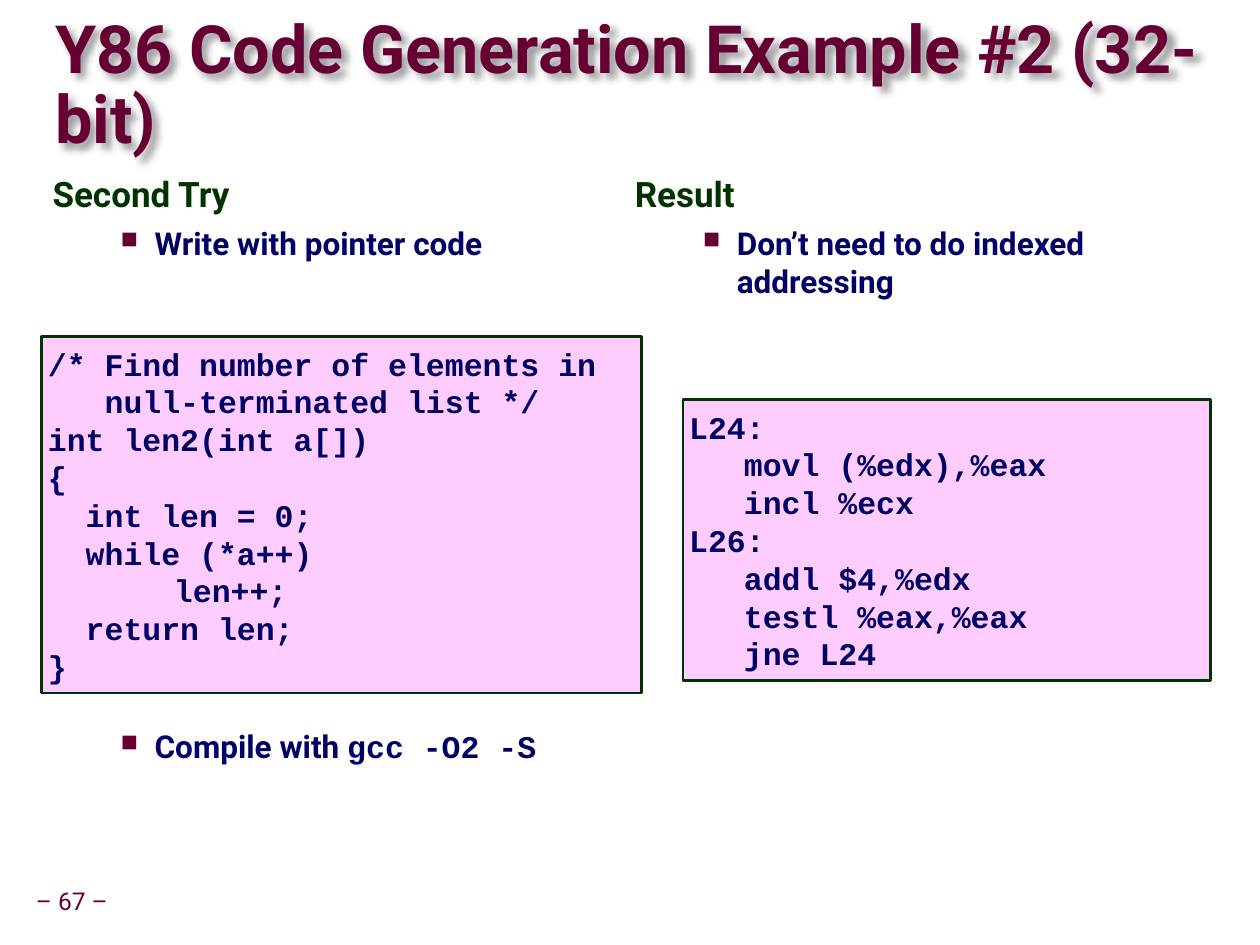
from lxml.etree import SubElement
from pptx import Presentation
from pptx.dml.color import RGBColor
from pptx.enum.shapes import MSO_SHAPE
from pptx.enum.text import MSO_ANCHOR, PP_ALIGN
from pptx.oxml.ns import qn
from pptx.util import Pt

MAROON, GREEN, NAVY, PINK = "660033", "003300", "000066", "FFCCFF"
BODY_FONT, CODE_FONT = "Roboto", "Courier New"
CODE_CHARACTER = 10.8  # width of one character at 18 points

# Each code line: indent in characters, text
C_CODE = [
    (0, "/* Find number of elements in"),
    (3, "null-terminated list */"),
    (0, "int len2(int a[])"),
    (0, "{"),
    (2, "int len = 0;"),
    (2, "while (*a++)"),
    (6.67, "len++;"),
    (2, "return len;"),
    (0, "}"),
]
ASSEMBLY_CODE = [
    (0, "L24:"),
    (2.9, "movl (%edx),%eax"),
    (2.9, "incl %ecx"),
    (0, "L26:"),
    (2.9, "addl $4,%edx"),
    (2.9, "testl %eax,%eax"),
    (2.9, "jne L24"),
]


def color(value):
    return RGBColor.from_string(value)


def set_font(font, size, value, bold=True, name=BODY_FONT):
    font.name = name
    font.size = Pt(size)
    font.bold = bold
    font.color.rgb = color(value)


def set_frame(frame, horizontal, vertical, anchor=MSO_ANCHOR.TOP, wrap=True):
    frame.margin_left = frame.margin_right = Pt(horizontal)
    frame.margin_top = frame.margin_bottom = Pt(vertical)
    frame.vertical_anchor = anchor
    frame.word_wrap = wrap


def add_text_box(page, left, top, width, height):
    return page.shapes.add_textbox(Pt(left), Pt(top), Pt(width), Pt(height))


def add_shadow(box):
    """Give the text of an unfilled box a soft shadow to the lower right."""
    effects = SubElement(box._element.spPr, qn("a:effectLst"))
    shadow = SubElement(effects, qn("a:outerShdw"), blurRad=str(Pt(4)),
                        dist=str(Pt(4)), dir="2700000", algn="ctr")
    shade = SubElement(shadow, qn("a:srgbClr"), val="000000")
    SubElement(shade, qn("a:alpha"), val="40000")


def add_title(page, text):
    box = add_text_box(page, 31.7, 19.4, 686.2, 61.2)
    set_frame(box.text_frame, 0, 0, MSO_ANCHOR.MIDDLE)
    para = box.text_frame.paragraphs[0]
    para.text = text
    para.line_spacing = 0.87
    set_font(para.font, 38, MAROON)
    add_shadow(box)


def add_page_number(page, text):
    box = add_text_box(page, 16.6, 504, 49, 23)
    set_frame(box.text_frame, 3.6, 3.6, MSO_ANCHOR.MIDDLE, wrap=False)
    para = box.text_frame.paragraphs[0]
    para.text = text
    para.alignment = PP_ALIGN.CENTER
    para.line_spacing = 0.9
    set_font(para.font, 14, MAROON, bold=False)


def add_column(page, left, heading):
    box = add_text_box(page, left, 96.5, 321, 411)
    set_frame(box.text_frame, 7.2, 3.6)
    para = box.text_frame.paragraphs[0]
    para.text = heading
    para.line_spacing = 0.95
    set_font(para.font, 20, GREEN)
    return box.text_frame


def add_bullet(frame, text, space_before=5):
    para = frame.add_paragraph()
    para.text = text
    para.space_before = Pt(space_before)
    set_font(para.font, 18, NAVY)
    properties = para._p.get_or_add_pPr()
    properties.set("marL", str(Pt(58.3)))
    properties.set("indent", str(Pt(-19.4)))
    bullet_color = properties.makeelement(qn("a:buClr"), {})
    SubElement(bullet_color, qn("a:srgbClr"), val=MAROON)
    bullet_size = properties.makeelement(qn("a:buSzPct"), {"val": "75000"})
    bullet = properties.makeelement(qn("a:buChar"), {"char": "■"})
    default_font = properties.find(qn("a:defRPr"))
    for element in (bullet_color, bullet_size, bullet):
        default_font.addprevious(element)
    return para


def add_code(page, left, top, width, height, lines):
    box = page.shapes.add_shape(MSO_SHAPE.RECTANGLE, Pt(left), Pt(top),
                                Pt(width), Pt(height))
    box.shadow.inherit = False
    box.fill.solid()
    box.fill.fore_color.rgb = color(PINK)
    box.line.color.rgb = color(GREEN)
    box.line.width = Pt(1.5)
    frame = box.text_frame
    set_frame(frame, 3.6, 3.6, MSO_ANCHOR.MIDDLE)
    for number, (indent, text) in enumerate(lines):
        para = frame.add_paragraph() if number else frame.paragraphs[0]
        para.text = text
        para.alignment = PP_ALIGN.LEFT
        set_font(para.font, 18, NAVY, name=CODE_FONT)
        margin = Pt(indent * CODE_CHARACTER)
        para._p.get_or_add_pPr().set("marL", str(margin))


def main():
    deck = Presentation()
    deck.slide_width, deck.slide_height = Pt(720), Pt(540)
    page = deck.slides.add_slide(deck.slide_layouts[6])

    add_page_number(page, "– 67 –")
    add_title(page, "Y86 Code Generation Example #2 (32-bit)")

    attempt = add_column(page, 23, "Second Try")
    add_bullet(attempt, "Write with pointer code")
    compile_step = add_bullet(attempt, "Compile with ", space_before=266)
    span = compile_step.add_run()
    span.text = "gcc -O2 -S"
    span.font.name = CODE_FONT

    result = add_column(page, 355.7, "Result")
    add_bullet(result, "Don’t need to do indexed addressing")

    add_code(page, 23.8, 192.2, 342.7, 203.8, C_CODE)
    add_code(page, 390.2, 228.2, 301.7, 160.6, ASSEMBLY_CODE)
    deck.save("out.pptx")


if __name__ == "__main__":
    main()
